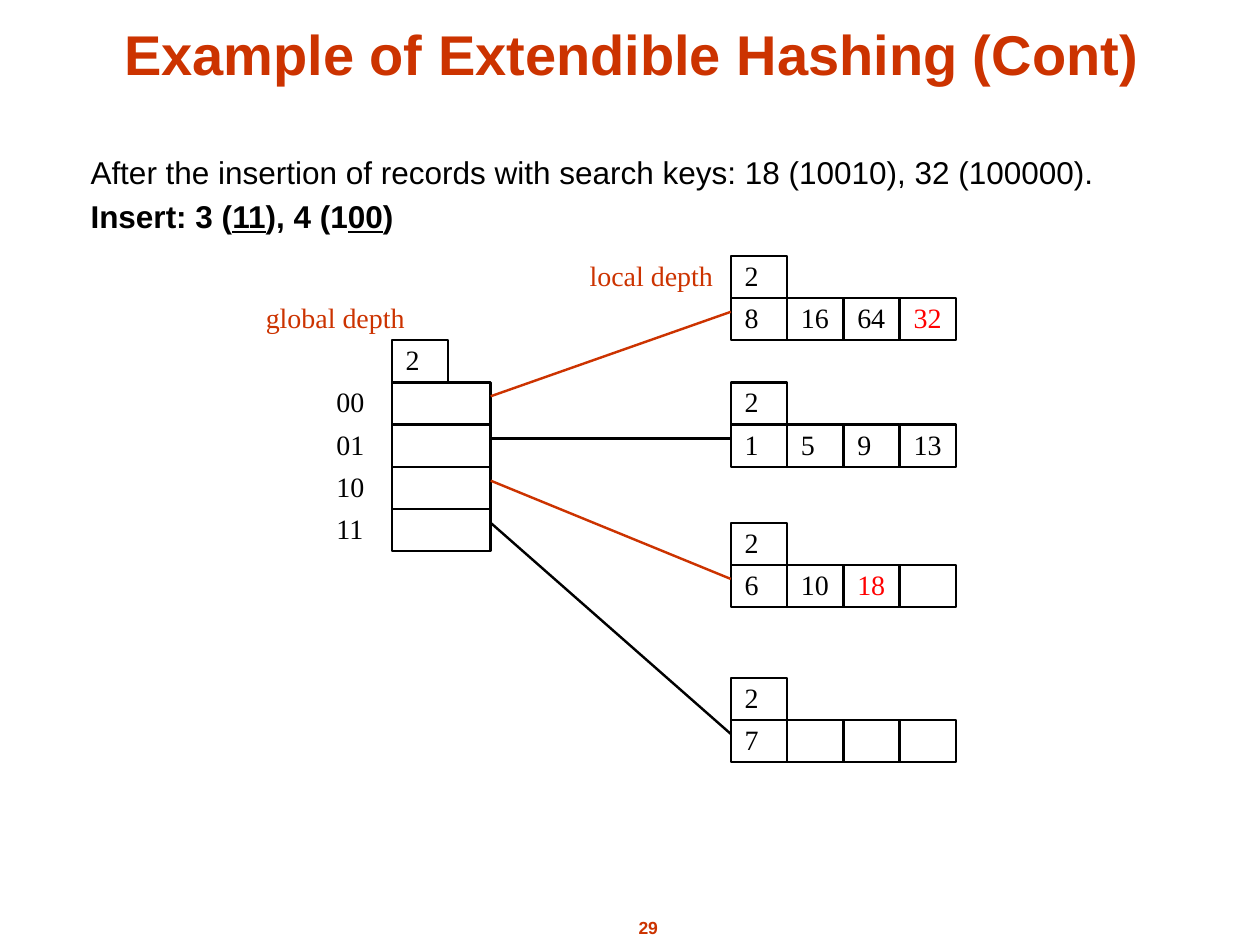
from lxml.etree import SubElement
from pptx import Presentation
from pptx.dml.color import RGBColor
from pptx.enum.shapes import MSO_CONNECTOR, MSO_SHAPE
from pptx.enum.text import MSO_ANCHOR as Anchor, MSO_AUTO_SIZE as AutoSize, PP_ALIGN as Align
from pptx.oxml.ns import qn
from pptx.util import Inches, Pt

BLACK = RGBColor(0x00, 0x00, 0x00)
WHITE = RGBColor(0xFF, 0xFF, 0xFF)
RUST = RGBColor(0xCC, 0x33, 0x00)
RED = RGBColor(0xFF, 0x00, 0x00)

LINE_WIDTH = Pt(1.39)
ROW = 0.335
CELL_WIDTH = 0.447
ENTRY_WIDTH = 0.785
POINTER_DROP = 0.11
TEXT_DX, TEXT_DY = 0.11, 0.02
BODY_INSETS = (0.1, 0.05, 0.1, 0.05)
BOLD, UNDERLINE = "b", "u"


def write(frame, paragraphs, font="Times New Roman", size=16, color=BLACK, style="",
          align=Align.LEFT, anchor=Anchor.TOP, insets=(0, 0, 0, 0), wrap=False,
          grow=False, line_spacing=None, gap=0, hanging=0):
    """Fill a text frame; each paragraph is a list of (text, style) runs."""
    frame.word_wrap = wrap
    if grow:
        frame.auto_size = AutoSize.SHAPE_TO_FIT_TEXT
    frame.vertical_anchor = anchor
    (frame.margin_left, frame.margin_top,
     frame.margin_right, frame.margin_bottom) = map(Inches, insets)
    for index, runs in enumerate(paragraphs):
        paragraph = frame.add_paragraph() if index else frame.paragraphs[0]
        paragraph.alignment = align
        if line_spacing:
            paragraph.line_spacing = line_spacing
        if index and gap:
            paragraph.space_before = Pt(gap)
        if hanging:
            properties = paragraph._p.get_or_add_pPr()
            properties.set("marL", str(Inches(hanging)))
            properties.set("indent", str(-Inches(hanging)))
        for text, run_style in runs:
            run = paragraph.add_run()
            run.text = text
            run.font.name = font
            run.font.size = Pt(size)
            run.font.color.rgb = color
            run.font.bold = BOLD in style + run_style
            run.font.underline = UNDERLINE in style + run_style


def add_text(slide, box, paragraphs, **text_format):
    text_box = slide.shapes.add_textbox(*map(Inches, box))
    write(text_box.text_frame, paragraphs, **text_format)


def add_label(slide, left, top, width, text, color=BLACK):
    add_text(slide, (left, top + TEXT_DY, width, 0.27), [[(text, "")]],
             color=color, grow=True)


def add_cell(slide, left, top, width, text="", color=BLACK):
    cell = slide.shapes.add_shape(
        MSO_SHAPE.RECTANGLE, *map(Inches, (left, top, width, ROW)))
    cell.shadow.inherit = False
    cell.fill.solid()
    cell.fill.fore_color.rgb = WHITE
    cell.line.color.rgb = BLACK
    cell.line.width = LINE_WIDTH
    if text:
        write(cell.text_frame, [[(text, "")]], color=color,
              insets=(TEXT_DX, TEXT_DY, 0, 0))


def add_directory(slide, left, top, depth, prefixes):
    """Draw the global depth above its entries; return where each pointer starts."""
    add_label(slide, left - 1, top - ROW, 1.14, "global depth", RUST)
    add_cell(slide, left, top, CELL_WIDTH, depth)
    starts = []
    for row, prefix in enumerate(prefixes, start=1):
        entry_top = top + row * ROW
        add_label(slide, left - 0.44, entry_top, 0.25, prefix)
        add_cell(slide, left, entry_top, ENTRY_WIDTH)
        starts.append((left + ENTRY_WIDTH, entry_top + POINTER_DROP))
    return starts


def add_bucket(slide, left, top, depth, keys, new_keys):
    """Draw the local depth above four key slots; return where the pointer ends."""
    add_cell(slide, left, top, CELL_WIDTH, depth)
    for column, key in enumerate(keys):
        add_cell(slide, left + column * CELL_WIDTH, top + ROW, CELL_WIDTH, key,
                 RED if key in new_keys else BLACK)
    return left, top + ROW + POINTER_DROP


def add_pointer(slide, start, end, color):
    pointer = slide.shapes.add_connector(
        MSO_CONNECTOR.STRAIGHT, *map(Inches, start + end))
    pointer.line.color.rgb = color
    pointer.line.width = LINE_WIDTH
    SubElement(pointer._element.spPr, qn("a:effectLst"))


def add_hash_diagram(slide, left, top):
    bucket_left = left + 2.69
    starts = add_directory(slide, left, top + 2 * ROW, "2", ("00", "01", "10", "11"))
    add_label(slide, bucket_left - 1.12, top, 1.02, "local depth", RUST)
    buckets = (
        (0, ("8", "16", "64", "32"), RUST),
        (3 * ROW, ("1", "5", "9", "13"), BLACK),
        (2.12, ("6", "10", "18", ""), RUST),
        (3.35, ("7", "", "", ""), BLACK),
    )
    for start, (offset, keys, color) in zip(starts, buckets):
        end = add_bucket(slide, bucket_left, top + offset, "2", keys, ("18", "32"))
        add_pointer(slide, start, end, color)


def add_heading(slide, box):
    add_text(slide, box, [[("Example of Extendible Hashing (Cont)", "")]],
             font="Arial", size=32, color=RUST, style=BOLD, align=Align.CENTER,
             anchor=Anchor.BOTTOM, insets=BODY_INSETS, wrap=True)


def add_insertions(slide, box):
    add_text(slide, box, [
        [("After the insertion of records with search keys: "
          "18 (10010), 32 (100000).", "")],
        [("Insert: 3 (", BOLD), ("11", BOLD + UNDERLINE), ("), 4 (1", BOLD),
         ("00", BOLD + UNDERLINE), (")", BOLD)],
    ], font="Arial", size=18, insets=BODY_INSETS, wrap=True,
        line_spacing=0.8, gap=7.9, hanging=0.38)


def add_page_number(slide, box):
    add_text(slide, box, [[("29", "")]], font="Arial", size=10, color=RUST,
             style=BOLD, align=Align.CENTER, insets=BODY_INSETS)


def main():
    deck = Presentation()
    deck.slide_width, deck.slide_height = Inches(10), Inches(7.5)
    slide = deck.slides.add_slide(deck.slide_layouts[6])
    add_heading(slide, (0.6, 0.07, 8.83, 0.67))
    add_insertions(slide, (0.62, 1.22, 8.58, 0.7))
    add_hash_diagram(slide, 3.11, 2.03)
    add_page_number(slide, (4.71, 7.23, 0.87, 0.27))
    deck.save("out.pptx")


if __name__ == "__main__":
    main()
